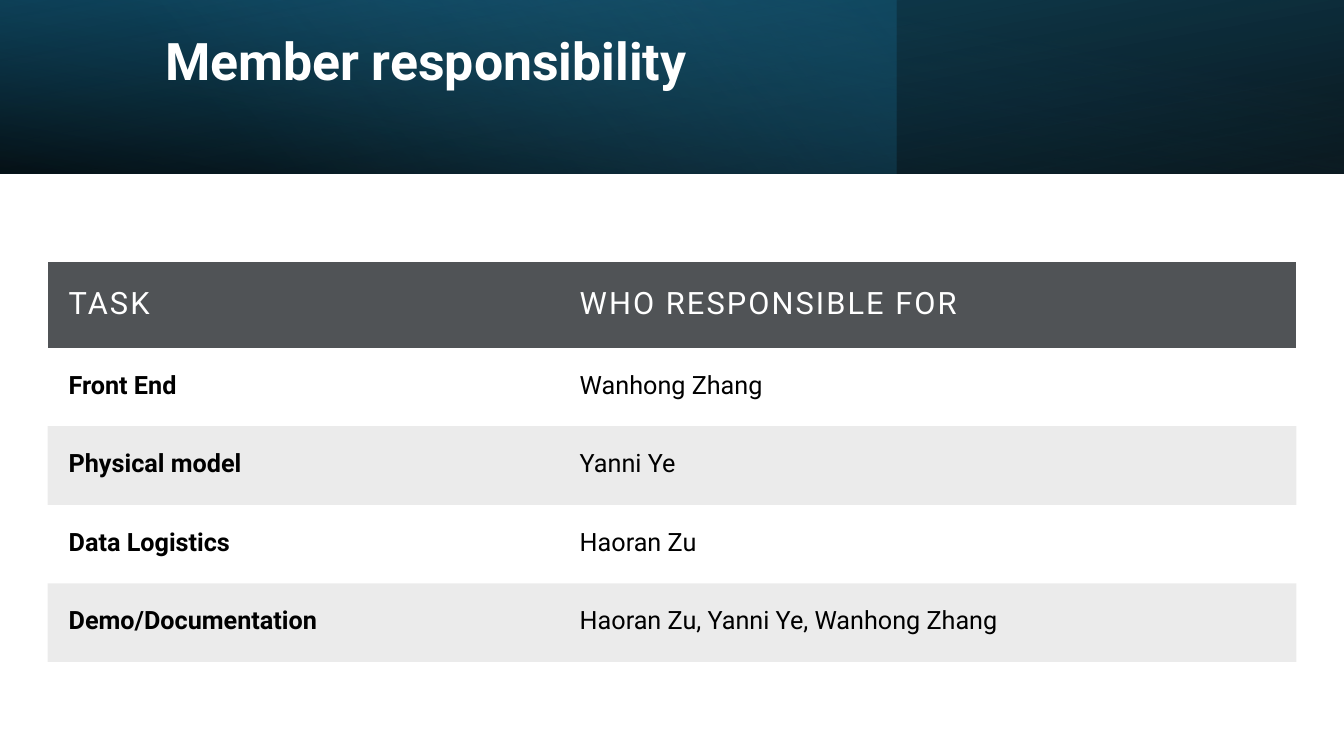
from typing import NamedTuple

from lxml.etree import SubElement
from pptx import Presentation
from pptx.dml.color import RGBColor
from pptx.enum.shapes import MSO_SHAPE as Preset
from pptx.enum.text import MSO_ANCHOR as Anchor, MSO_AUTO_SIZE as AutoSize, PP_ALIGN as Align
from pptx.oxml.ns import qn
from pptx.util import Cm, Pt

COLORS = {
    "white": "FFFFFF",
    "black": "000000",
    "header": "505356",
    "deep": "104862",
    "teal": "156082",
    "sky": "46B1E1",
}
FONT = "Roboto"
PLAIN_TABLE_STYLE = "{2D5ABB26-0587-4C30-8999-92F81FD0307C}"
SLIDE_WIDTH, SLIDE_HEIGHT = 33.87, 19.05
BANNER_HEIGHT = 4.37
CELL_MARGIN = Cm(0.53)
COLUMN_WIDTHS = (12.88, 18.59)
HEADER_HEIGHT, TASK_HEIGHT = 2.16, 1.98


class Stop(NamedTuple):
    position: float
    color: str
    opacity: int


class Band(NamedTuple):
    width: float
    angle: int  # clockwise degrees
    stops: tuple[Stop, Stop]
    rotation: int = 0
    flipped: bool = False


class Duty(NamedTuple):
    task: str
    members: str


BANDS = (
    Band(SLIDE_WIDTH, 100, (Stop(0, "black", 96), Stop(1, "deep", 100)), 180, True),
    Band(SLIDE_WIDTH * 2 / 3, 140, (Stop(0, "teal", 41), Stop(0.74, "sky", 0))),
    Band(SLIDE_WIDTH, 260, (Stop(0, "black", 63), Stop(0.78, "teal", 15)), flipped=True),
)
HEADINGS = Duty("TASK", "WHO RESPONSIBLE FOR")
DUTIES = (
    Duty("Front End", "Wanhong Zhang"),
    Duty("Physical model", "Yanni Ye"),
    Duty("Data Logistics", "Haoran Zu"),
    Duty("Demo/Documentation", "Haoran Zu, Yanni Ye, Wanhong Zhang"),
)


def rgb(name: str) -> RGBColor:
    return RGBColor.from_string(COLORS[name])


def set_opacity(element, percents) -> None:
    """Give each RGB colour inside the element its opacity, in order."""
    for color, percent in zip(element.iter(qn("a:srgbClr")), percents):
        SubElement(color, qn("a:alpha")).set("val", str(percent * 1000))


def write(frame, text: str, *, size: float, color: str, bold: bool = False,
          line_spacing: float = 1.07, space_after: float = 8,
          letter_spacing: float = 0) -> None:
    frame.word_wrap = True
    paragraph = frame.paragraphs[0]
    paragraph.alignment = Align.LEFT
    paragraph.line_spacing = line_spacing
    paragraph.space_after = Pt(space_after)
    run = paragraph.add_run()
    run.text = text
    font = run.font
    font.name, font.size, font.bold = FONT, Pt(size), bold
    font.color.rgb = rgb(color)
    if letter_spacing:
        run.font._element.set("spc", str(round(letter_spacing * 100)))


def add_band(slide, band: Band) -> None:
    shape = slide.shapes.add_shape(Preset.RECTANGLE, 0, 0, Cm(band.width), Cm(BANNER_HEIGHT))
    shape.shadow.inherit = False
    shape.line.fill.background()
    shape.rotation = band.rotation
    if band.flipped:
        shape.element.spPr.xfrm.set("flipH", "1")
    shape.fill.gradient()
    shape.fill.gradient_angle = 360 - band.angle
    for target, stop in zip(shape.fill.gradient_stops, band.stops):
        target.position = stop.position
        target.color.rgb = rgb(stop.color)
    set_opacity(shape.element.spPr, [stop.opacity for stop in band.stops])


def add_title(slide, text: str) -> None:
    title = slide.shapes.title
    title.left, title.top, title.width, title.height = Cm(1.96), Cm(0.69), Cm(19.61), Cm(3.23)
    frame = title.text_frame
    frame.auto_size = AutoSize.NONE
    frame.vertical_anchor = Anchor.TOP
    frame.margin_left, frame.margin_top = Cm(2.2), Cm(0.2)
    write(frame, text, size=37, color="white", bold=True, line_spacing=0.9, space_after=0)
    slide.shapes.element.append(title.element)  # bring in front of the bands


def fill_cell(cell, row: int) -> None:
    """Dark header, then clear and lightly shaded rows in turn."""
    if row == 0:
        cell.fill.solid()
        cell.fill.fore_color.rgb = rgb("header")
    elif row % 2:
        cell.fill.background()
    else:
        cell.fill.solid()
        cell.fill.fore_color.rgb = rgb("black")
        set_opacity(cell._tc.tcPr, [8])


def add_duty_table(slide) -> None:
    rows = (HEADINGS, *DUTIES)
    heights = (HEADER_HEIGHT, *[TASK_HEIGHT] * len(DUTIES))
    table = slide.shapes.add_table(
        len(rows), len(COLUMN_WIDTHS), Cm(1.2), Cm(6.6),
        Cm(sum(COLUMN_WIDTHS)), Cm(sum(heights))).table
    table._tbl.tblPr.find(qn("a:tableStyleId")).text = PLAIN_TABLE_STYLE
    for column, width in zip(table.columns, COLUMN_WIDTHS):
        column.width = Cm(width)
    for row, (duty, height) in enumerate(zip(rows, heights)):
        table.rows[row].height = Cm(height)
        for column, text in enumerate(duty):
            cell = table.cell(row, column)
            cell.margin_left = cell.margin_right = CELL_MARGIN
            cell.margin_top = cell.margin_bottom = CELL_MARGIN
            fill_cell(cell, row)
            if row == 0:
                write(cell.text_frame, text, size=22, color="white", letter_spacing=1.5)
            else:
                write(cell.text_frame, text, size=18, color="black", bold=column == 0)


def main() -> None:
    deck = Presentation()
    deck.slide_width, deck.slide_height = Cm(SLIDE_WIDTH), Cm(SLIDE_HEIGHT)
    slide = deck.slides.add_slide(deck.slide_layouts.get_by_name("Title Only"))
    for band in BANDS:
        add_band(slide, band)
    add_title(slide, "Member responsibility")
    add_duty_table(slide)
    deck.save("out.pptx")


if __name__ == "__main__":
    main()
